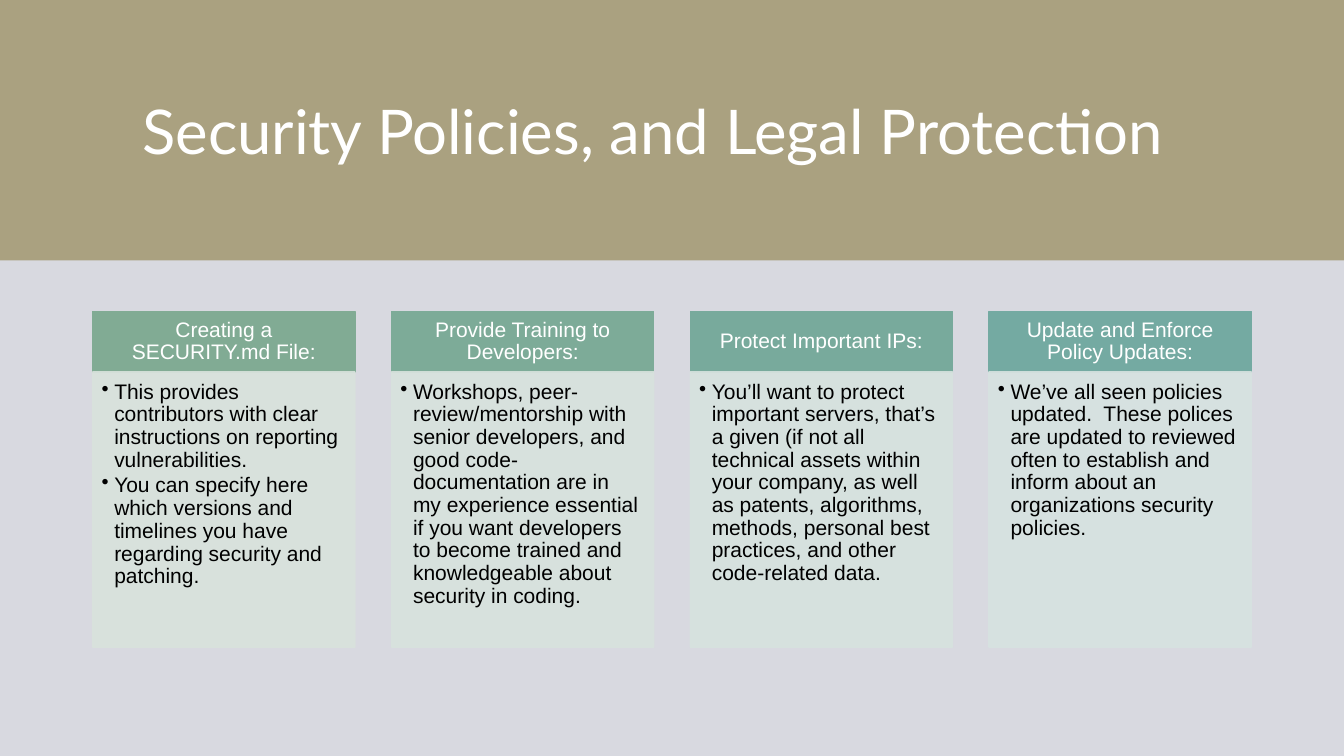
from lxml.etree import SubElement
from pptx import Presentation
from pptx.dml.color import RGBColor
from pptx.enum.shapes import MSO_SHAPE as Shape
from pptx.enum.text import MSO_ANCHOR as Anchor, PP_ALIGN as Align
from pptx.oxml.ns import qn
from pptx.util import Pt

# Page and column grid, in points
PAGE_WIDTH, PAGE_HEIGHT = 960, 540
BANNER_HEIGHT = 186
COLUMN_LEFT, COLUMN_STEP, COLUMN_WIDTH = 66.2, 213.4, 187.4
HEADER_TOP, HEADER_HEIGHT, BODY_HEIGHT = 222.5, 43.2, 196.6
BULLET_INDENT = 9

# Colours
WHITE = RGBColor(0xFF, 0xFF, 0xFF)
BLACK = RGBColor(0x00, 0x00, 0x00)
MIST = RGBColor(0xC8, 0xCA, 0xD4)
KHAKI = RGBColor(0xAA, 0xA1, 0x80)

# Header text, header colour, body colour, bullet points
COLUMNS = [
    ("Creating a SECURITY.md File:",
     RGBColor(0x81, 0xAB, 0x94), RGBColor(0xD8, 0xE2, 0xDC),
     ["This provides contributors with clear instructions on reporting "
      "vulnerabilities.",
      "You can specify here which versions and timelines you have regarding "
      "security and patching."]),
    ("Provide Training to Developers:",
     RGBColor(0x7D, 0xAB, 0x98), RGBColor(0xD7, 0xE2, 0xDD),
     ["Workshops, peer-review/mentorship with senior developers, and good "
      "code-documentation are in my experience essential if you want "
      "developers to become trained and knowledgeable about security in "
      "coding."]),
    ("Protect Important IPs:",
     RGBColor(0x78, 0xAA, 0x9C), RGBColor(0xD6, 0xE2, 0xDE),
     ["You’ll want to protect important servers, that’s a given (if not all "
      "technical assets within your company, as well as patents, algorithms, "
      "methods, personal best practices, and other code-related data."]),
    ("Update and Enforce Policy Updates:",
     RGBColor(0x74, 0xAA, 0xA2), RGBColor(0xD6, 0xE2, 0xE0),
     ["We’ve all seen policies updated.  These polices are updated to "
      "reviewed often to establish and inform about an organizations "
      "security policies."]),
]


def set_opacity(color_format, percent):
    solid = color_format.find(qn("a:solidFill"))
    SubElement(solid[0], qn("a:alpha"), val=str(percent * 1000))


def add_panel(page, left, top, width, height, color, opacity=100, outline=False):
    panel = page.shapes.add_shape(
        Shape.RECTANGLE, Pt(left), Pt(top), Pt(width), Pt(height))
    panel.shadow.inherit = False
    panel.fill.solid()
    panel.fill.fore_color.rgb = color
    if outline:
        panel.line.color.rgb = color
        panel.line.width = Pt(1)
    else:
        panel.line.fill.background()
    if opacity < 100:
        properties = panel.element.spPr
        set_opacity(properties, opacity)
        if outline:
            set_opacity(properties.find(qn("a:ln")), opacity)
    return panel


def set_frame(box, anchor, left, top, right, bottom):
    frame = box.text_frame
    frame.word_wrap = True
    frame.vertical_anchor = anchor
    frame.margin_left, frame.margin_top = Pt(left), Pt(top)
    frame.margin_right, frame.margin_bottom = Pt(right), Pt(bottom)
    return frame


def style_paragraph(para, size, font_name, color, align=Align.LEFT):
    para.alignment = align
    for span in para.runs:
        span.font.size = Pt(size)
        span.font.name = font_name
        span.font.color.rgb = color


def add_bullet(para):
    properties = para._p.get_or_add_pPr()
    properties.set("marL", str(Pt(BULLET_INDENT)))
    properties.set("indent", str(Pt(-BULLET_INDENT)))
    SubElement(properties, qn("a:buChar"), char="•")


def add_title(page, text):
    box = page.shapes.add_textbox(Pt(94.5), Pt(30), Pt(788), Pt(126))
    frame = set_frame(box, Anchor.MIDDLE, 7.2, 3.6, 7.2, 3.6)
    frame.text = text
    style_paragraph(frame.paragraphs[0], 44, "Lato", WHITE)


def add_header(page, left, text, color):
    panel = add_panel(page, left, HEADER_TOP, COLUMN_WIDTH, HEADER_HEIGHT,
                      color, outline=True)
    frame = set_frame(panel, Anchor.MIDDLE, 8.5, 5, 8.5, 5)
    frame.text = text
    para = frame.paragraphs[0]
    para.line_spacing = 0.9
    style_paragraph(para, 15, "Arial", WHITE, Align.CENTER)


def add_body(page, left, points, color):
    panel = add_panel(page, left, HEADER_TOP + HEADER_HEIGHT, COLUMN_WIDTH,
                      BODY_HEIGHT, color, opacity=90, outline=True)
    frame = set_frame(panel, Anchor.TOP, 6.4, 6.4, 8.5, 9.6)
    frame.text = "\n".join(points)
    for para in frame.paragraphs:
        para.line_spacing = 0.9
        para.space_after = Pt(2.25)
        style_paragraph(para, 15, "Arial", BLACK)
        add_bullet(para)


def main():
    deck = Presentation()
    deck.slide_width, deck.slide_height = Pt(PAGE_WIDTH), Pt(PAGE_HEIGHT)
    page = deck.slides.add_slide(deck.slide_layouts[6])

    # Backdrop and title banner
    add_panel(page, 0, 0, PAGE_WIDTH, PAGE_HEIGHT, WHITE)
    add_panel(page, 0, 0, PAGE_WIDTH, PAGE_HEIGHT, MIST, opacity=70)
    add_panel(page, 0, 0, PAGE_WIDTH, BANNER_HEIGHT, KHAKI)
    add_title(page, "Security Policies, and Legal Protection")

    # Four columns, each a header above its points
    for index, (heading, header_color, body_color, points) in enumerate(COLUMNS):
        left = COLUMN_LEFT + index * COLUMN_STEP
        add_header(page, left, heading, header_color)
        add_body(page, left, points, body_color)

    deck.save("out.pptx")


if __name__ == "__main__":
    main()
